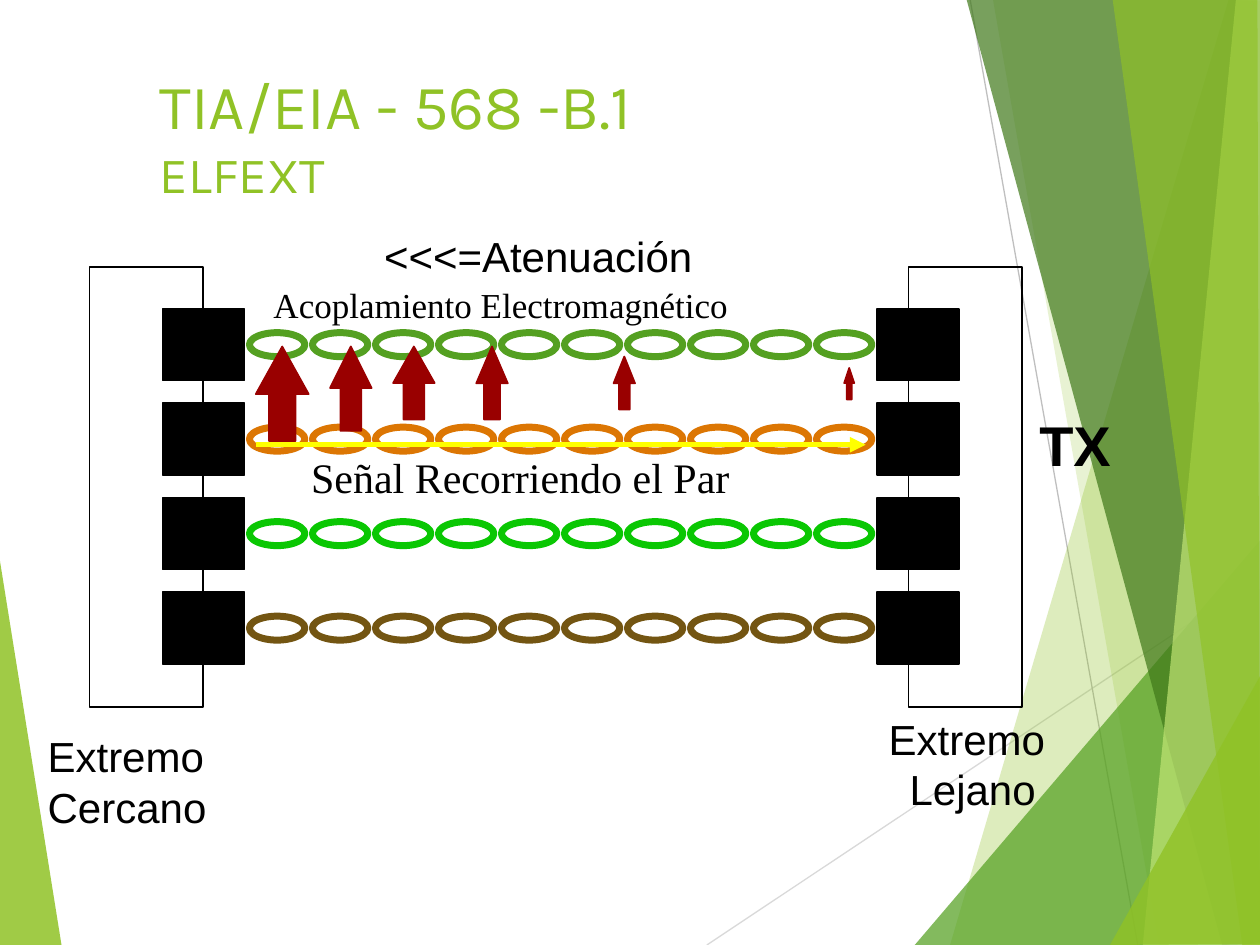
import lxml.etree
import pptx
import pptx.dml.color
import pptx.enum.shapes
import pptx.enum.text
import pptx.oxml.ns
import pptx.util

KIND = pptx.enum.shapes.MSO_SHAPE
ALIGN = pptx.enum.text.PP_ALIGN
SIDE = pptx.enum.text.MSO_ANCHOR
COLS, ROWS = 10, 7.5
WIDE = pptx.util.Inches(10)
HIGH = pptx.util.Inches(7.5)
HUES = {
    "lime": "90C226", "leaf": "54A021", "moss": "3F7819", "pale": "C0E474",
    "mist": "D9D9D9", "gray": "BFBFBF", "black": "000000", "red": "990000",
    "gold": "FFFF00", "orange": "DC7603", "green": "0AC703", "brown": "735512",
}
PAIRS = ["leaf", "orange", "green", "brown"]
TOP, STEP = 2.45, 0.75
LINKS, PITCH = 10, 0.5

SHARDS = [
    ([(9.75, 0), (7.54, 7.5), (10.02, 7.51), (10.01, 0.01)], "lime", 30),
    ([(7.88, -0.01), (9.2, 7.5), (10.01, 7.5), (10.01, -0.01)], "lime", 20),
    ([(7.26, 7.5), (10, 4.29), (10.01, 7.5)], "leaf", 72),
    ([(7.67, -0.01), (9.7, 7.5), (10.01, 7.49), (10.01, -0.01)], "moss", 70),
    ([(9.81, -0.01), (9.07, 7.5), (10.01, 7.5), (10, -0.01)], "pale", 70),
    ([(8.83, -0.01), (9.86, 7.5), (10, 7.5), (9.98, -0.01)], "lime", 65),
    ([(8.81, 7.5), (10.01, 5.35), (10.01, 7.49)], "lime", 80),
]
ARROWS = [
    (2.03, 2.75, 0.42, 0.75, 0.9), (2.62, 2.75, 0.33, 0.67, 1),
    (3.12, 2.75, 0.33, 0.58, 0.88), (3.78, 2.75, 0.25, 0.58, 1.17),
    (4.87, 2.83, 0.17, 0.42, 1.25), (6.7, 2.92, 0.08, 0.25, 1.51),
]


def col(n):
    return round(WIDE * n / COLS)


def row(n):
    return round(HIGH * n / ROWS)


def hue(name):
    return pptx.dml.color.RGBColor.from_string(HUES[name])


def tag(node, name, **pairs):
    return lxml.etree.SubElement(node, pptx.oxml.ns.qn(name), **pairs)


def paint(shape, fill=None, edge=None, width=1):
    shape.shadow.inherit = False
    if fill:
        shape.fill.solid()
        shape.fill.fore_color.rgb = hue(fill)
    else:
        shape.fill.background()
    if edge:
        shape.line.color.rgb = hue(edge)
        shape.line.width = pptx.util.Pt(width)
    else:
        shape.line.fill.background()


def shard(slide, points, fill, share):
    spots = [(col(x), row(y)) for x, y in points]
    pen = slide.shapes.build_freeform(*spots[0])
    pen.add_line_segments(spots[1:], close=True)
    shape = pen.convert_to_shape()
    paint(shape, fill)
    tint = shape.element.spPr.find(".//" + pptx.oxml.ns.qn("a:srgbClr"))
    tag(tint, "a:alpha", val=str(share * 1000))


def line(slide, start, end, name, width, head=False):
    wire = slide.shapes.add_connector(
        pptx.enum.shapes.MSO_CONNECTOR.STRAIGHT,
        col(start[0]), row(start[1]), col(end[0]), row(end[1]))
    wire.line.color.rgb = hue(name)
    wire.line.width = pptx.util.Pt(width)
    if head:
        tag(wire.element.spPr.find(pptx.oxml.ns.qn("a:ln")),
            "a:tailEnd", type="triangle")
    tag(wire.element.spPr, "a:effectLst")


def block(slide, kind, x, y, w, h, fill=None, edge="black", width=1):
    shape = slide.shapes.add_shape(kind, col(x), row(y), col(w), row(h))
    paint(shape, fill, edge, width)
    return shape


def label(slide, box, text, size, font="Arial", tint="black", bold=False,
          align=ALIGN.LEFT, side=SIDE.TOP, wrap=False):
    x, y, w, h = box
    note = slide.shapes.add_textbox(col(x), row(y), col(w), row(h))
    frame = note.text_frame
    frame.text = text
    frame.word_wrap = wrap
    frame.vertical_anchor = side
    for para in frame.paragraphs:
        para.alignment = align
        for run in para.runs:
            run.font.name = font
            run.font.size = pptx.util.Pt(size)
            run.font.bold = bold
            run.font.color.rgb = hue(tint)
    return frame


def scene(slide):
    shard(slide, [(-0.01, 4.39), (0.49, 7.51), (-0.01, 7.5)], "lime", 85)
    line(slide, (5.61, 7.5), (10.01, 4.57), "mist", 0.75)
    line(slide, (7.7, 0), (9.03, 7.5), "gray", 0.75)
    for points, fill, share in SHARDS:
        shard(slide, points, fill, share)


def panel(slide, left, jack):
    block(slide, KIND.RECTANGLE, left, 2.12, 0.9, 3.49)
    for i in range(len(PAIRS)):
        block(slide, KIND.RECTANGLE, jack, TOP + i * STEP, 0.65, 0.57, "black")


def twist(slide, top, name):
    for i in range(LINKS):
        block(slide, KIND.OVAL, 1.98 + i * PITCH, top, 0.44, 0.19,
              edge=name, width=4)


def arrow(slide, x, y, w, h, point):
    shape = block(slide, KIND.UP_ARROW, x, y, w, h, "red", "red")
    shape.adjustments[0] = 0.5
    shape.adjustments[1] = point


def title(slide):
    frame = label(slide, (1.17, 0.43, 7.75, 0.91),
                  "TIA/EIA - 568 -B.1\vELFEXT", 36, "Karla", "lime", wrap=True)
    frame.margin_top = row(0.1)
    frame.paragraphs[0].runs[1].font.size = pptx.util.Pt(29)


def main():
    deck = pptx.Presentation()
    deck.slide_width, deck.slide_height = WIDE, HIGH
    slide = deck.slides.add_slide(deck.slide_layouts[6])
    scene(slide)
    panel(slide, 0.71, 1.29)
    panel(slide, 7.21, 6.96)
    label(slide, (2.95, 1.78, 2.65, 0.5), "<<<=Atenuación", 24)
    for i, name in enumerate(PAIRS):
        twist(slide, TOP + 0.19 + i * STEP, name)
    label(slide, (8.15, 3.21, 0.77, 0.63), "TX", 32, bold=True)
    for spot in ARROWS:
        arrow(slide, *spot)
    line(slide, (2.03, 3.53), (6.87, 3.53), "gold", 3, head=True)
    label(slide, (2.37, 3.53, 3.52, 0.5), "Señal Recorriendo el Par", 24,
          "Times New Roman", align=ALIGN.CENTER, side=SIDE.MIDDLE)
    label(slide, (1.95, 2.2, 4.05, 0.44), "Acoplamiento Electromagnético", 20,
          "Times New Roman", align=ALIGN.CENTER, side=SIDE.MIDDLE, wrap=True)
    label(slide, (0.28, 5.75, 1.54, 0.9), "Extremo\nCercano", 24)
    label(slide, (6.95, 5.61, 1.54, 0.9), "Extremo \nLejano", 24,
          align=ALIGN.CENTER)
    title(slide)
    deck.save("out.pptx")


if __name__ == "__main__":
    main()
